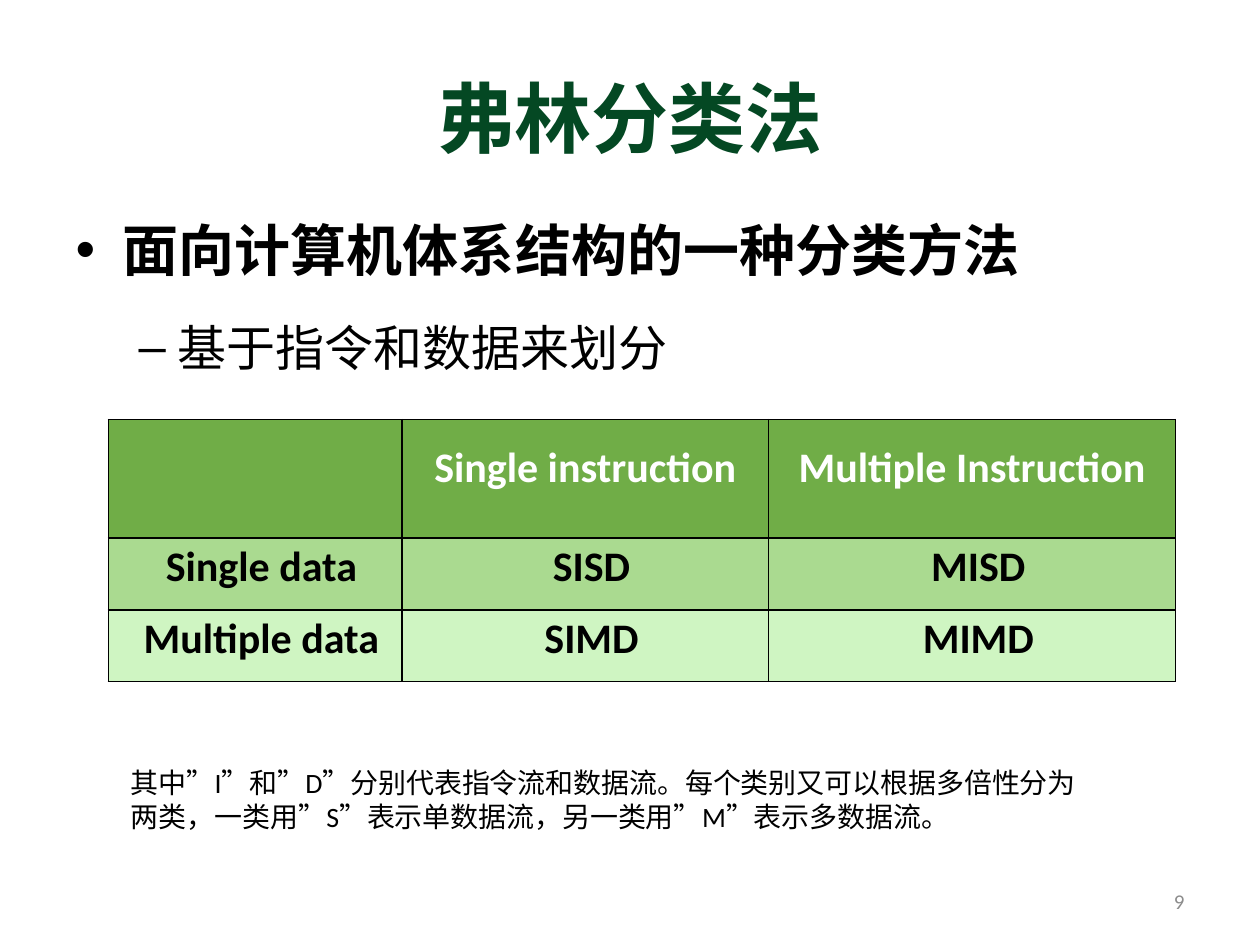
from dataclasses import dataclass

import pptx
import pptx.dml.color
import pptx.enum.lang
import pptx.enum.text
import pptx.oxml
import pptx.oxml.ns
import pptx.util
from pptx.util import Inches, Pt

ALIGN = pptx.enum.text.PP_ALIGN
ANCHOR = pptx.enum.text.MSO_ANCHOR


@dataclass(frozen=True)
class Theme:
    font: str = "Calibri"
    title_color: str = "044823"
    text_color: str = "000000"
    header_text: str = "FFFFFF"
    number_color: str = "8C8C8C"
    row_fills: tuple = ("70AD47", "AADA90", "CFF5C2")
    title_size: int = 44
    topic_size: int = 32
    detail_size: int = 28
    table_size: int = 24
    note_size: int = 16
    number_size: int = 12


THEME = Theme()
TABLE_TEXT = (
    ("", "Single instruction", "Multiple Instruction"),
    ("Single data", "SISD", "MISD"),
    ("Multiple data", "SIMD", "MIMD"),
)
COLUMN_WIDTHS = (2.33, 2.91, 3.23)
ROW_HEIGHTS = (0.94, 0.57, 0.57)
NOTE = ("其中”I”和”D”分别代表指令流和数据流。每个类别又可以根据多倍性分为两类，"
        "一类用”S”表示单数据流，另一类用”M”表示多数据流。")


def apply(target, values):
    """Set each named attribute of the target."""
    for name, value in values.items():
        setattr(target, name, value)


def place(shape, left, top, width, height):
    apply(shape, {"left": Inches(left), "top": Inches(top),
                  "width": Inches(width), "height": Inches(height)})


def write(paragraph, text, size, color, bold=False, chinese=True, **layout):
    """Fill a paragraph with one run; layout holds paragraph attributes."""
    apply(paragraph, layout)
    run = paragraph.add_run()
    run.text = text
    apply(run.font, {"name": THEME.font, "size": Pt(size), "bold": bold})
    run.font.color.rgb = pptx.dml.color.RGBColor.from_string(color)
    if chinese:
        run.font.language_id = pptx.enum.lang.MSO_LANGUAGE_ID.SIMPLIFIED_CHINESE


def fill_title(slide):
    title = slide.shapes.title
    place(title, 0.5, 0.3, 9, 1.25)
    title.text_frame.vertical_anchor = ANCHOR.MIDDLE
    write(title.text_frame.paragraphs[0], "弗林分类法", THEME.title_size,
          THEME.title_color, bold=True, alignment=ALIGN.CENTER)


def fill_body(slide):
    body = slide.placeholders[1]
    place(body, 0.5, 1.55, 9, 5.27)
    frame = body.text_frame
    frame.auto_size = pptx.enum.text.MSO_AUTO_SIZE.NONE
    write(frame.paragraphs[0], "面向计算机体系结构的一种分类方法", THEME.topic_size,
          THEME.text_color, bold=True, line_spacing=1.2,
          space_before=Pt(0), space_after=Pt(6))
    write(frame.add_paragraph(), "基于指令和数据来划分", THEME.detail_size,
          THEME.text_color, level=1, line_spacing=1.25,
          space_before=Pt(5.6), space_after=Pt(6))


def add_borders(cell):
    properties = cell._tc.get_or_add_tcPr()
    namespace = pptx.oxml.ns.nsdecls("a")
    for side in ("lnL", "lnR", "lnT", "lnB"):
        properties.append(pptx.oxml.parse_xml(
            f'<a:{side} {namespace} w="{Pt(1)}"><a:solidFill>'
            f'<a:srgbClr val="{THEME.text_color}"/></a:solidFill></a:{side}>'))


def format_cell(cell, text, row):
    is_header = row == 0
    apply(cell, {"margin_left": 0, "margin_right": 0, "margin_bottom": 0,
                 "margin_top": Inches(0.18 if is_header else 0.03)})
    add_borders(cell)
    cell.fill.solid()
    cell.fill.fore_color.rgb = pptx.dml.color.RGBColor.from_string(THEME.row_fills[row])
    if not text:
        return
    paragraph = cell.text_frame.paragraphs[0]
    if not is_header:
        paragraph._p.get_or_add_pPr().set("marL", str(Inches(0.1)))
    write(paragraph, text, THEME.table_size,
          THEME.header_text if is_header else THEME.text_color,
          bold=True, chinese=False, alignment=ALIGN.CENTER, space_before=Pt(0))


def add_taxonomy_table(slide):
    table = slide.shapes.add_table(
        len(ROW_HEIGHTS), len(COLUMN_WIDTHS), Inches(0.86), Inches(3.33),
        Inches(sum(COLUMN_WIDTHS)), Inches(sum(ROW_HEIGHTS))).table
    for column, width in zip(table.columns, COLUMN_WIDTHS):
        column.width = Inches(width)
    for row, height in enumerate(ROW_HEIGHTS):
        table.rows[row].height = Inches(height)
        for column, text in enumerate(TABLE_TEXT[row]):
            format_cell(table.cell(row, column), text, row)


def add_text(slide, box, text, size, color, anchor=ANCHOR.TOP, **layout):
    frame = slide.shapes.add_textbox(*map(Inches, box)).text_frame
    apply(frame, {"word_wrap": True, "vertical_anchor": anchor})
    write(frame.paragraphs[0], text, size, color, **layout)


def main():
    presentation = pptx.Presentation()
    apply(presentation, {"slide_width": Inches(10), "slide_height": Inches(7.5)})
    slide = presentation.slides.add_slide(presentation.slide_layouts[1])
    fill_body(slide)
    fill_title(slide)
    add_text(slide, (7.17, 6.95, 2.33, 0.4), "9", THEME.number_size,
             THEME.number_color, ANCHOR.MIDDLE, alignment=ALIGN.RIGHT)
    add_taxonomy_table(slide)
    add_text(slide, (0.94, 6.03, 7.84, 0.64), NOTE, THEME.note_size, THEME.text_color)
    presentation.save("out.pptx")


if __name__ == "__main__":
    main()
